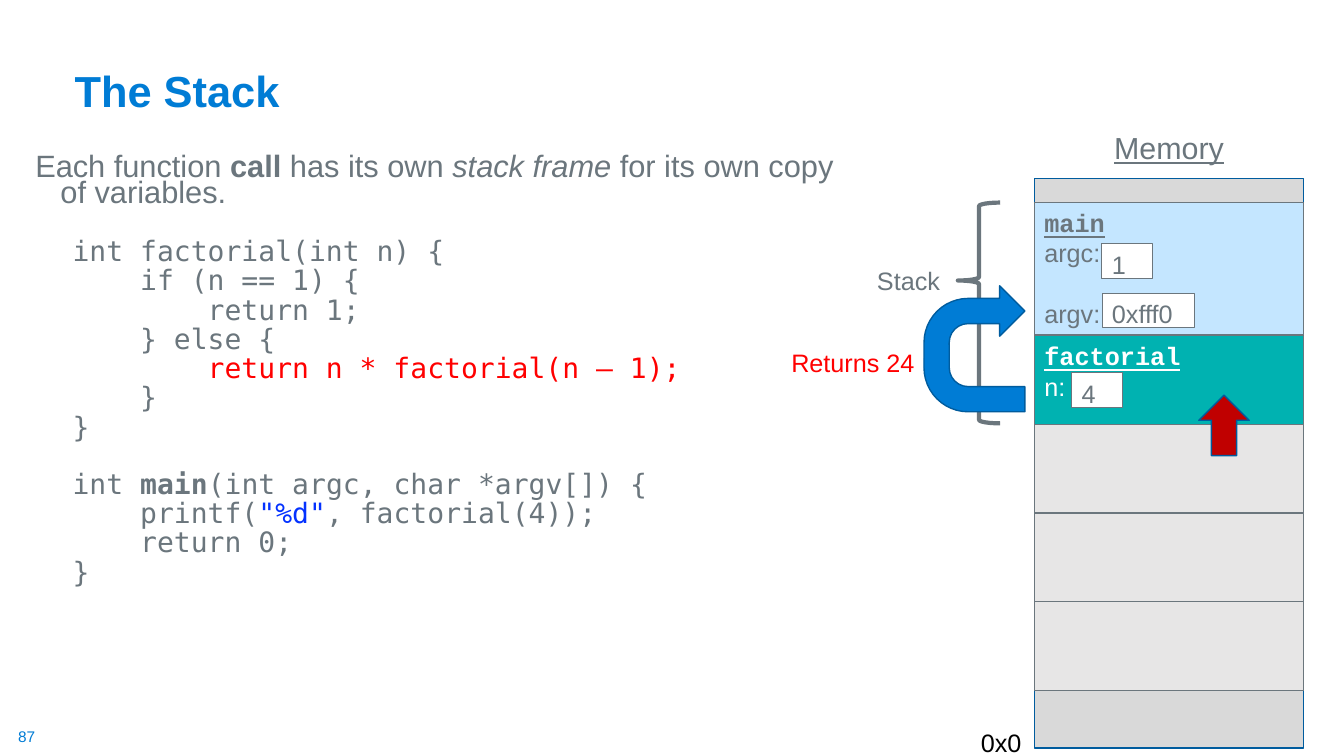
from dataclasses import dataclass

from lxml import etree
from pptx import Presentation
from pptx.dml.color import RGBColor
from pptx.enum.shapes import MSO_SHAPE
from pptx.enum.text import MSO_ANCHOR, MSO_AUTO_SIZE, PP_ALIGN
from pptx.oxml.ns import qn
from pptx.util import Inches, Pt

RECTANGLE = MSO_SHAPE.RECTANGLE
LEFT_BRACE = MSO_SHAPE.LEFT_BRACE
U_TURN_ARROW = MSO_SHAPE.U_TURN_ARROW
UP_ARROW = MSO_SHAPE.UP_ARROW
LEFT, CENTER = PP_ALIGN.LEFT, PP_ALIGN.CENTER
TOP, BOTTOM = MSO_ANCHOR.TOP, MSO_ANCHOR.BOTTOM
NO_AUTO_SIZE = MSO_AUTO_SIZE.NONE

BLUE = RGBColor(0x00, 0x7C, 0xD5)
DARK_BLUE = RGBColor(0x00, 0x5C, 0x9E)
PALE_BLUE = RGBColor(0xC4, 0xE6, 0xFF)
STRING_BLUE = RGBColor(0x04, 0x32, 0xFF)
TEAL = RGBColor(0x00, 0xB2, 0xB1)
SLATE = RGBColor(0x6B, 0x76, 0x7D)
SILVER = RGBColor(0xD9, 0xD9, 0xD9)
FADED = RGBColor(0xE7, 0xE6, 0xE6)
RED = RGBColor(0xFF, 0x00, 0x00)
DARK_RED = RGBColor(0xC0, 0x00, 0x00)
WHITE = RGBColor(0xFF, 0xFF, 0xFF)
BLACK = RGBColor(0x00, 0x00, 0x00)

SANS, FRAME_MONO, CODE_MONO = "Arial", "Courier New", "DejaVu Sans Mono"
MEMORY_LEFT, MEMORY_WIDTH = 10.26, 2.67
CALL_TOP, CALL_HEIGHT = 3.33, 0.88
RETURNED_CALLS = 3
CODE_SPACE, CODE_GAP = 4.1, 24.1


@dataclass
class Span:
    text: str
    color: RGBColor = SLATE
    size: float = 18
    font: str = SANS
    bold: bool = False
    italic: bool = False
    underline: bool = False


@dataclass
class Box:
    left: float
    top: float
    width: float
    height: float


@dataclass
class Frame:
    box: Box
    name: str
    variables: list[str]
    fill: RGBColor
    color: RGBColor


@dataclass
class Label:
    box: Box
    span: Span
    inset: float = 0.1


def code(text: str, color: RGBColor = SLATE, bold: bool = False) -> Span:
    return Span(text, color, 20, CODE_MONO, bold)


def call_box(index: int) -> Box:
    return Box(MEMORY_LEFT, CALL_TOP + index * CALL_HEIGHT, MEMORY_WIDTH, CALL_HEIGHT)


INTRO = [
    Span("Each function", size=22),
    Span(" call", size=22, bold=True),
    Span(" has its own ", size=22),
    Span("stack frame ", size=22, italic=True),
    Span("for its own copy of variables.", size=22),
]
FUNCTIONS = [
    [
        [code("int factorial(int n) {")],
        [code("    if (n == 1) {")],
        [code("        return 1;")],
        [code("    } else {")],
        [code("        return n * factorial(n – 1);", RED)],
        [code("    }")],
        [code("}")],
    ],
    [
        [code("int "), code("main", bold=True), code("(int argc, char *argv[]) {")],
        [code("    printf("), code('"%d"', STRING_BLUE), code(", factorial(4));")],
        [code("    return 0;")],
        [code("}")],
    ],
]
ACTIVE_FRAMES = [
    Frame(Box(MEMORY_LEFT, 2.01, MEMORY_WIDTH, 1.31), "main", ["argc:", "argv:"],
          PALE_BLUE, SLATE),
    Frame(call_box(0), "factorial", ["n:"], TEAL, WHITE),
]
VALUES = [
    (Box(10.93, 2.42, 0.5, 0.34), "1"),
    (Box(10.93, 2.91, 0.92, 0.34), "0xfff0"),
    (Box(10.63, 3.7, 0.5, 0.34), "4"),
]
LABELS = [
    Label(Box(0.18, 7.21, 0.19, 0.19), Span("87", BLUE, 11), 0),
    Label(Box(9.63, 7.17, 0.69, 0.33), Span("0x0", BLACK)),
    Label(Box(8.6, 2.58, 0.83, 0.4), Span("Stack")),
    Label(Box(7.75, 3.4, 1.44, 0.4), Span("Returns 24", RED)),
]


def place(shape, box: Box) -> None:
    shape.left, shape.top = Inches(box.left), Inches(box.top)
    shape.width, shape.height = Inches(box.width), Inches(box.height)


def write(paragraph, spans: list[Span]) -> None:
    for span in spans:
        run = paragraph.add_run()
        run.text = span.text
        font = run.font
        font.name, font.size = span.font, Pt(span.size)
        font.bold, font.italic, font.underline = span.bold, span.italic, span.underline
        font.color.rgb = span.color


def add_shape(slide, kind, box: Box, fill: RGBColor | None, line: RGBColor, weight: float):
    shape = slide.shapes.add_shape(kind, Inches(box.left), Inches(box.top),
                                   Inches(box.width), Inches(box.height))
    shape.shadow.inherit = False
    if fill is None:
        shape.fill.background()
    else:
        shape.fill.solid()
        shape.fill.fore_color.rgb = fill
    shape.line.color.rgb = line
    shape.line.width = Pt(weight)
    return shape


def add_lines(shape, lines: list[Span], gap: float = 0) -> None:
    """Write top-aligned lines, with a gap before the third and later ones."""
    frame = shape.text_frame
    frame.vertical_anchor = TOP
    for index, span in enumerate(lines):
        paragraph = frame.add_paragraph() if index else frame.paragraphs[0]
        paragraph.alignment = LEFT
        if index > 1:
            paragraph.space_before = Pt(gap)
        write(paragraph, [span])


def add_frame(slide, frame: Frame) -> None:
    shape = add_shape(slide, RECTANGLE, frame.box, frame.fill, SLATE, 0.75)
    name = Span(frame.name, frame.color, font=FRAME_MONO, bold=True, underline=True)
    add_lines(shape, [name] + [Span(text, frame.color) for text in frame.variables], 21.7)


def add_label(slide, label: Label):
    text_box = slide.shapes.add_textbox(0, 0, 0, 0)
    place(text_box, label.box)
    frame = text_box.text_frame
    frame.word_wrap = False
    frame.margin_left = frame.margin_right = Inches(label.inset)
    frame.margin_top = frame.margin_bottom = Inches(label.inset / 2)
    write(frame.paragraphs[0], [label.span])
    return text_box


def format_body_paragraph(paragraph, indent: float, space: float) -> None:
    properties = paragraph._p.get_or_add_pPr()
    properties.set("marL", str(Inches(indent)))
    properties.set("indent", str(Inches(-0.25)))
    etree.SubElement(properties, qn("a:buNone"))
    paragraph.alignment = LEFT
    paragraph.line_spacing = 0.7
    paragraph.space_before = Pt(space)


def fill_title(title) -> None:
    place(title, Box(0.64, 0.43, 11.5, 0.78))
    frame = title.text_frame
    frame.auto_size, frame.vertical_anchor = NO_AUTO_SIZE, BOTTOM
    paragraph = frame.paragraphs[0]
    paragraph.alignment, paragraph.line_spacing = LEFT, 0.9
    write(paragraph, [Span("The Stack", BLUE, 31, bold=True)])


def fill_body(body) -> None:
    place(body, Box(0.25, 1.51, 8.29, 5.65))
    frame = body.text_frame
    frame.auto_size, frame.vertical_anchor = NO_AUTO_SIZE, TOP
    format_body_paragraph(frame.paragraphs[0], 0.25, 0)
    write(frame.paragraphs[0], INTRO)
    for function in FUNCTIONS:
        for index, line in enumerate(function):
            paragraph = frame.add_paragraph()
            paragraph.level = 1
            format_body_paragraph(paragraph, 0.62, CODE_SPACE if index else CODE_GAP)
            write(paragraph, line)


def main() -> None:
    presentation = Presentation()
    presentation.slide_width, presentation.slide_height = Inches(13.33), Inches(7.5)
    slide = presentation.slides.add_slide(presentation.slide_layouts[1])
    fill_title(slide.shapes.title)
    fill_body(slide.placeholders[1])

    heading = add_label(slide, Label(Box(10.93, 1.33, 1.33, 0.43),
                                     Span("Memory", size=21.7, underline=True)))
    heading.text_frame.word_wrap = True
    heading.text_frame.paragraphs[0].alignment = CENTER
    heading.text_frame.paragraphs[0].line_spacing = 0.7

    add_shape(slide, RECTANGLE, Box(MEMORY_LEFT, 1.77, MEMORY_WIDTH, 5.65), SILVER, DARK_BLUE, 1)
    for frame in ACTIVE_FRAMES:
        add_frame(slide, frame)
    for index in range(RETURNED_CALLS):
        add_shape(slide, RECTANGLE, call_box(index + 1), FADED, SLATE, 0.75)
    for box, value in VALUES:
        add_lines(add_shape(slide, RECTANGLE, box, WHITE, SLATE, 0.75), [Span(value)])

    brace = add_shape(slide, LEFT_BRACE, Box(9.5, 2.01, 0.42, 2.19), None, SLATE, 3)
    brace.adjustments[0], brace.adjustments[1] = 0.083, 0.353
    return_arrow = add_shape(slide, U_TURN_ARROW, Box(9.04, 2.96, 1.25, 1), BLUE, DARK_BLUE, 1)
    return_arrow.rotation = 270
    for index, value in enumerate([0.25, 0.25, 0.25, 0.438, 1]):
        return_arrow.adjustments[index] = value
    add_shape(slide, UP_ARROW, Box(11.89, 3.92, 0.5, 0.6), DARK_RED, DARK_BLUE, 1)
    for label in LABELS:
        add_label(slide, label)
    presentation.save("out.pptx")


if __name__ == "__main__":
    main()
